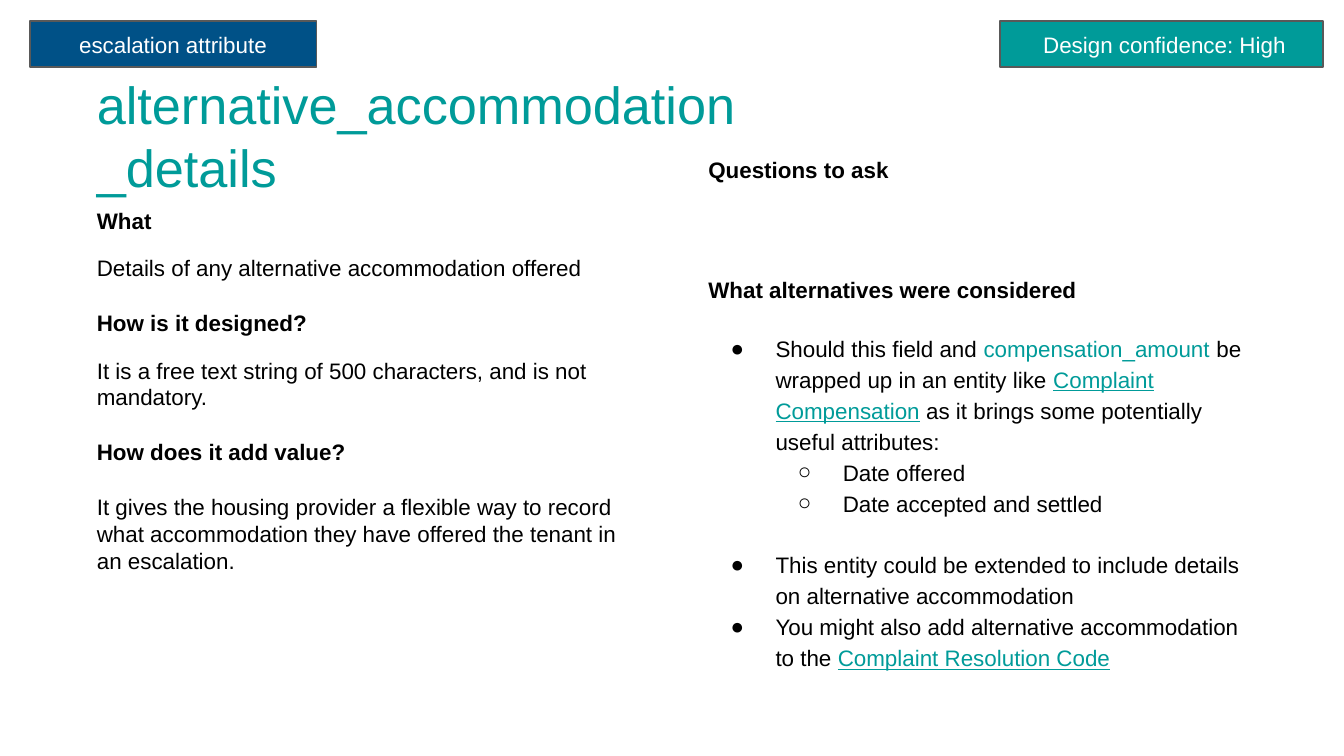
from lxml.etree import SubElement
from pptx import Presentation
from pptx.dml.color import RGBColor
from pptx.enum.shapes import MSO_SHAPE
from pptx.enum.text import MSO_ANCHOR, PP_ALIGN
from pptx.oxml.ns import qn
from pptx.util import Pt

COLORS = {"teal": "009B99", "blue": "005187", "line": "595959", "text": "000000", "white": "FFFFFF"}


class SlideBuilder:
    font = "Arial"
    size = 12
    inset = 7.2

    def __init__(self, prs):
        self.s = prs.slides.add_slide(prs.slide_layouts[6])

    def color(self, name):
        return RGBColor.from_string(COLORS[name])

    def run(self, p, text, color="text", size=None, bold=False, underline=False):
        r = p.add_run()
        r.text = text
        r.font.name = self.font
        r.font.size = Pt(size or self.size)
        r.font.bold = bold
        r.font.underline = underline
        r.font.color.rgb = self.color(color)

    def frame(self, sp, anchor=MSO_ANCHOR.TOP):
        tf = sp.text_frame
        tf.word_wrap = True
        tf.vertical_anchor = anchor
        tf.margin_left = tf.margin_right = tf.margin_top = tf.margin_bottom = Pt(self.inset)
        return tf

    def text(self, x, y, w, h):
        return self.frame(self.s.shapes.add_textbox(Pt(x), Pt(y), Pt(w), Pt(h)))

    def paragraph(self, tf, runs, before=0, spacing=None, level=None):
        p = tf.paragraphs[0]
        if p.runs:
            p = tf.add_paragraph()
        p.space_before = Pt(before)
        if spacing:
            p.line_spacing = spacing
        if level is not None:
            self.bullet(p, level)
        for text, style in runs:
            self.run(p, text, **style)

    def bullet(self, p, level):
        p.level = level
        pPr = p._p.get_or_add_pPr()
        pPr.set("marL", str(Pt(36 * (level + 1))))
        pPr.set("indent", str(-Pt(24)))
        clr = SubElement(pPr, qn("a:buClr"))
        SubElement(clr, qn("a:srgbClr"), val=COLORS["text"])
        SubElement(pPr, qn("a:buSzPts"), val=str(self.size * 100))
        SubElement(pPr, qn("a:buFont"), typeface=self.font)
        SubElement(pPr, qn("a:buChar"), char="●○"[level])

    def tag(self, x, y, w, h, label, fill):
        sp = self.s.shapes.add_shape(MSO_SHAPE.RECTANGLE, Pt(x), Pt(y), Pt(w), Pt(h))
        sp.shadow.inherit = False
        sp.fill.solid()
        sp.fill.fore_color.rgb = self.color(fill)
        sp.line.color.rgb = self.color("line")
        sp.line.width = Pt(0.75)
        tf = self.frame(sp, MSO_ANCHOR.MIDDLE)
        tf.paragraphs[0].alignment = PP_ALIGN.CENTER
        self.run(tf.paragraphs[0], label, "white")


def main():
    prs = Presentation()
    prs.slide_width, prs.slide_height = Pt(720), Pt(405)
    b = SlideBuilder(prs)
    bold = {"bold": True}
    teal = {"color": "teal"}
    link = {"color": "teal", "underline": True}

    title = b.text(44.8, 31.7, 367.2, 45.4)
    b.paragraph(title, [("alternative_accommodation_details", {"color": "teal", "size": 28})])

    about = b.text(44.8, 103.7, 301.7, 226)
    for text, style, before in [
        ("What", bold, 0),
        ("Details of any alternative accommodation offered", {}, 11),
        ("How is it designed?", bold, 15),
        ("It is a free text string of 500 characters, and is not mandatory.", {}, 11),
        ("How does it add value?", bold, 15),
        ("It gives the housing provider a flexible way to record what accommodation "
         "they have offered the tenant in an escalation.", {}, 15),
    ]:
        b.paragraph(about, [(text, style)], before)

    notes = b.text(372.4, 76.3, 301.7, 194.4)
    b.paragraph(notes, [("Questions to ask", bold)])
    b.paragraph(notes, [("What alternatives were considered", bold)], 48, 1.15)
    for level, before, runs in [
        (0, 15, [
            ("Should this field and ", {}),
            ("compensation_amount", teal),
            (" be wrapped up in an entity like ", {}),
            ("Complaint Compensation", link),
            (" as it brings some potentially useful attributes:", {}),
        ]),
        (1, 0, [("Date offered", {})]),
        (1, 0, [("Date accepted and settled", {})]),
        (0, 16.6, [("This entity could be extended to include details on alternative accommodation", {})]),
        (0, 0, [
            ("You might also add alternative accommodation to the ", {}),
            ("Complaint Resolution Code", link),
        ]),
    ]:
        b.paragraph(notes, runs, before, 1.15, level)

    b.tag(535.7, 11.3, 173, 24.7, " Design confidence: High", "teal")
    b.tag(16, 11.3, 153.5, 24.7, "escalation attribute", "blue")
    prs.save("out.pptx")


if __name__ == "__main__":
    main()
